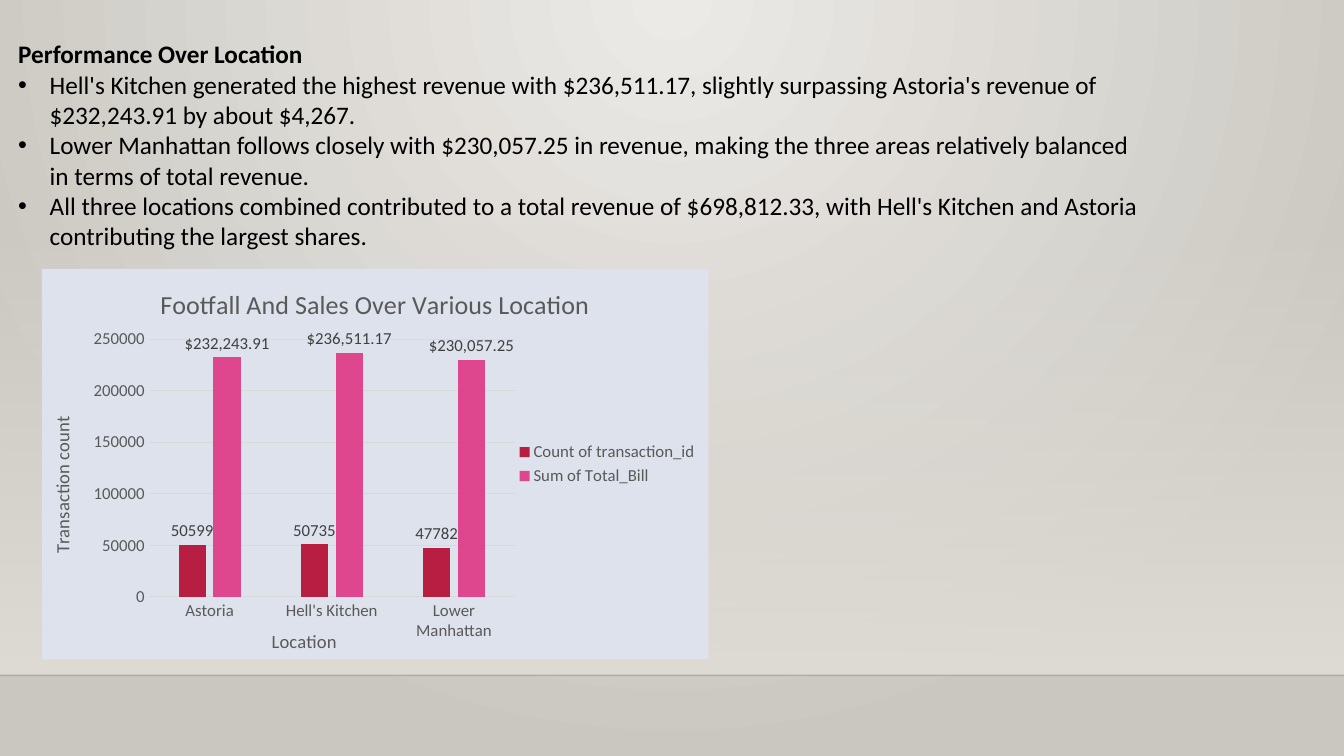
from lxml import etree
from pptx import Presentation
from pptx.chart.data import CategoryChartData
from pptx.dml.color import RGBColor
from pptx.enum.chart import XL_CHART_TYPE, XL_LABEL_POSITION, XL_LEGEND_POSITION, XL_TICK_MARK
from pptx.enum.shapes import MSO_CONNECTOR, MSO_SHAPE
from pptx.enum.text import MSO_ANCHOR, MSO_AUTO_SIZE, PP_ALIGN
from pptx.oxml import parse_xml
from pptx.oxml.ns import nsdecls, qn
from pptx.util import Pt

CLUSTERED = XL_CHART_TYPE.COLUMN_CLUSTERED
OUTSIDE_END = XL_LABEL_POSITION.OUTSIDE_END
LEGEND_RIGHT = XL_LEGEND_POSITION.RIGHT
NO_TICK = XL_TICK_MARK.NONE
STRAIGHT = MSO_CONNECTOR.STRAIGHT
RECTANGLE = MSO_SHAPE.RECTANGLE
TOP = MSO_ANCHOR.TOP
NO_AUTOFIT = MSO_AUTO_SIZE.NONE
LEFT = PP_ALIGN.LEFT

BLACK = RGBColor(0x00, 0x00, 0x00)
BACKDROP_LIGHT = RGBColor(0xEC, 0xEA, 0xE7)
BACKDROP_DARK = RGBColor(0xCA, 0xC7, 0xC1)
WALL = RGBColor(0xDF, 0xDB, 0xD5)
CHART_FILL = RGBColor(0xDE, 0xE2, 0xED)
CHART_TEXT = RGBColor(0x59, 0x59, 0x59)
LABEL_TEXT = RGBColor(0x40, 0x40, 0x40)
GRID = RGBColor(0xD9, 0xD9, 0xD9)
CRIMSON = RGBColor(0xB7, 0x1E, 0x42)
PINK = RGBColor(0xDE, 0x47, 0x8E)

FONT = "Calibri"
SLIDE_W, SLIDE_H = 960, 540
FLOOR_Y = 482.4
HEADING = "Performance Over Location"
FINDINGS = [
    "Hell's Kitchen generated the highest revenue with $236,511.17, slightly surpassing "
    "Astoria's revenue of $232,243.91 by about $4,267.",
    "Lower Manhattan follows closely with $230,057.25 in revenue, making the three areas "
    "relatively balanced in terms of total revenue.",
    "All three locations combined contributed to a total revenue of $698,812.33, with "
    "Hell's Kitchen and Astoria contributing the largest shares.",
]
LOCATIONS = ["Astoria", "Hell's Kitchen", "Lower Manhattan"]
# name, values, colour, label number format
MEASURES = [
    ("Count of transaction_id", [50599, 50735, 47782], CRIMSON, "General"),
    ("Sum of Total_Bill", [232243.91, 236511.17, 230057.25], PINK, "$#,##0.00"),
]


def format_font(font, size, color, bold=False):
    font.name, font.size, font.bold = FONT, Pt(size), bold
    font.color.rgb = color


def write(paragraph, text, size=18, color=BLACK, bold=False):
    run = paragraph.add_run()
    run.text = text
    format_font(run.font, size, color, bold)


def set_alpha(fill_parent, percent):
    for color in fill_parent.iter(qn("a:srgbClr")):
        etree.SubElement(color, qn("a:alpha"), val=str(percent * 1000))


def two_stop_gradient(fill, first, last):
    fill.gradient()
    for stop, color in zip(fill.gradient_stops, (first, last)):
        stop.color.rgb = color


def paint_backdrop(slide):
    """Radial background, fading wall and floor line, all behind the text."""
    two_stop_gradient(slide.background.fill, BACKDROP_LIGHT, BACKDROP_DARK)
    gradient = next(slide._element.iter(qn("a:gradFill")))
    gradient.replace(gradient.find(qn("a:lin")), parse_xml(
        f'<a:path {nsdecls("a")} path="circle">'
        '<a:fillToRect l="43000" t="0" r="43000" b="100000"/></a:path>'))

    wall_top = 159
    wall = slide.shapes.add_shape(
        RECTANGLE, 0, Pt(wall_top), Pt(SLIDE_W), Pt(FLOOR_Y - wall_top))
    wall.shadow.inherit = False
    wall.line.fill.background()
    two_stop_gradient(wall.fill, WALL, WALL)
    wall.fill.gradient_angle = 270
    set_alpha(next(wall._element.iter(qn("a:gs"))), 0)

    floor_line = slide.shapes.add_connector(
        STRAIGHT, 0, Pt(FLOOR_Y), Pt(SLIDE_W), Pt(FLOOR_Y))
    floor_line.line.width = Pt(1)
    floor_line.line.color.rgb = BLACK
    set_alpha(floor_line._element.spPr, 20)
    etree.SubElement(floor_line._element.spPr, qn("a:effectLst"))

    for position, part in enumerate((wall, floor_line), start=2):
        slide.shapes._spTree.insert(position, part._element)


def place_text(placeholder, left, top, width, height):
    placeholder.left, placeholder.top = Pt(left), Pt(top)
    placeholder.width, placeholder.height = Pt(width), Pt(height)
    frame = placeholder.text_frame
    frame.word_wrap, frame.auto_size = True, NO_AUTOFIT
    frame.vertical_anchor = TOP
    frame.margin_left = frame.margin_right = Pt(7.2)
    frame.margin_top = frame.margin_bottom = 0
    return frame


def add_findings(slide, left, top, width, height):
    heading_height = 22
    heading = place_text(slide.shapes.title, left, top, width, heading_height).paragraphs[0]
    heading.alignment = LEFT
    write(heading, HEADING, bold=True)

    body = place_text(slide.placeholders[1], left, top + heading_height,
                      width, height - heading_height)
    for number, finding in enumerate(FINDINGS):
        paragraph = body.paragraphs[0] if number == 0 else body.add_paragraph()
        paragraph.space_before = Pt(0)
        properties = paragraph._p.get_or_add_pPr()
        properties.set("marL", str(Pt(22.5)))
        properties.set("indent", str(-Pt(22.5)))
        etree.SubElement(properties, qn("a:buFont"), typeface="Arial")
        etree.SubElement(properties, qn("a:buChar"), char="•")
        write(paragraph, finding)


def style_axis(axis, title):
    axis.major_tick_mark = axis.minor_tick_mark = NO_TICK
    format_font(axis.tick_labels.font, 12, CHART_TEXT)
    write(axis.axis_title.text_frame.paragraphs[0], title, size=13.3, color=CHART_TEXT)


def set_chart_area(chart):
    """Fill the chart area and fix the inner plot area as fractions of it."""
    space = chart._chartSpace
    space.find(qn("c:chart")).addnext(parse_xml(
        f'<c:spPr {nsdecls("c", "a")}><a:solidFill><a:srgbClr val="{CHART_FILL}"/>'
        '</a:solidFill><a:ln><a:noFill/></a:ln></c:spPr>'))
    plot_area = next(space.iter(qn("c:plotArea")))
    for layout in plot_area.findall(qn("c:layout")):
        plot_area.remove(layout)
    settings = {"layoutTarget": "inner", "xMode": "edge", "yMode": "edge",
                "x": 0.16, "y": 0.18, "w": 0.55, "h": 0.66}
    parts = "".join(f'<c:{key} val="{value}"/>' for key, value in settings.items())
    plot_area.insert(0, parse_xml(
        f'<c:layout {nsdecls("c")}><c:manualLayout>{parts}</c:manualLayout></c:layout>'))


def add_location_chart(slide, left, top, width, height):
    data = CategoryChartData()
    data.categories = LOCATIONS
    for name, values, _, _ in MEASURES:
        data.add_series(name, values)
    chart = slide.shapes.add_chart(
        CLUSTERED, Pt(left), Pt(top), Pt(width), Pt(height), data).chart
    format_font(chart.font, 10, BLACK)
    write(chart.chart_title.text_frame.paragraphs[0],
          "Footfall And Sales Over Various Location", size=18.6, color=CHART_TEXT)
    chart.chart_title.include_in_layout = False

    style_axis(chart.category_axis, "Location")
    style_axis(chart.value_axis, "Transaction count")
    chart.value_axis.format.line.fill.background()
    for line in (chart.category_axis.format.line,
                 chart.value_axis.major_gridlines.format.line):
        line.width = Pt(0.75)
        line.color.rgb = GRID

    chart.has_legend = True
    chart.legend.position = LEGEND_RIGHT
    chart.legend.include_in_layout = False
    format_font(chart.legend.font, 12, CHART_TEXT)

    columns = chart.plots[0]
    columns.vary_by_categories = False
    columns.gap_width, columns.overlap = 219, -27
    for series, (_, _, color, number_format) in zip(columns.series, MEASURES):
        series.format.fill.solid()
        series.format.fill.fore_color.rgb = color
        labels = series.data_labels
        labels.show_value, labels.position = True, OUTSIDE_END
        labels.number_format, labels.number_format_is_linked = number_format, False
        format_font(labels.font, 12, LABEL_TEXT)
    set_chart_area(chart)


def main():
    deck = Presentation()
    deck.slide_width, deck.slide_height = Pt(SLIDE_W), Pt(SLIDE_H)
    slide = deck.slides.add_slide(deck.slide_layouts[1])
    paint_backdrop(slide)
    add_findings(slide, 5.8, 27.5, 816.5, 156)
    add_location_chart(slide, 30, 192, 476, 279)
    deck.save("out.pptx")


if __name__ == "__main__":
    main()
